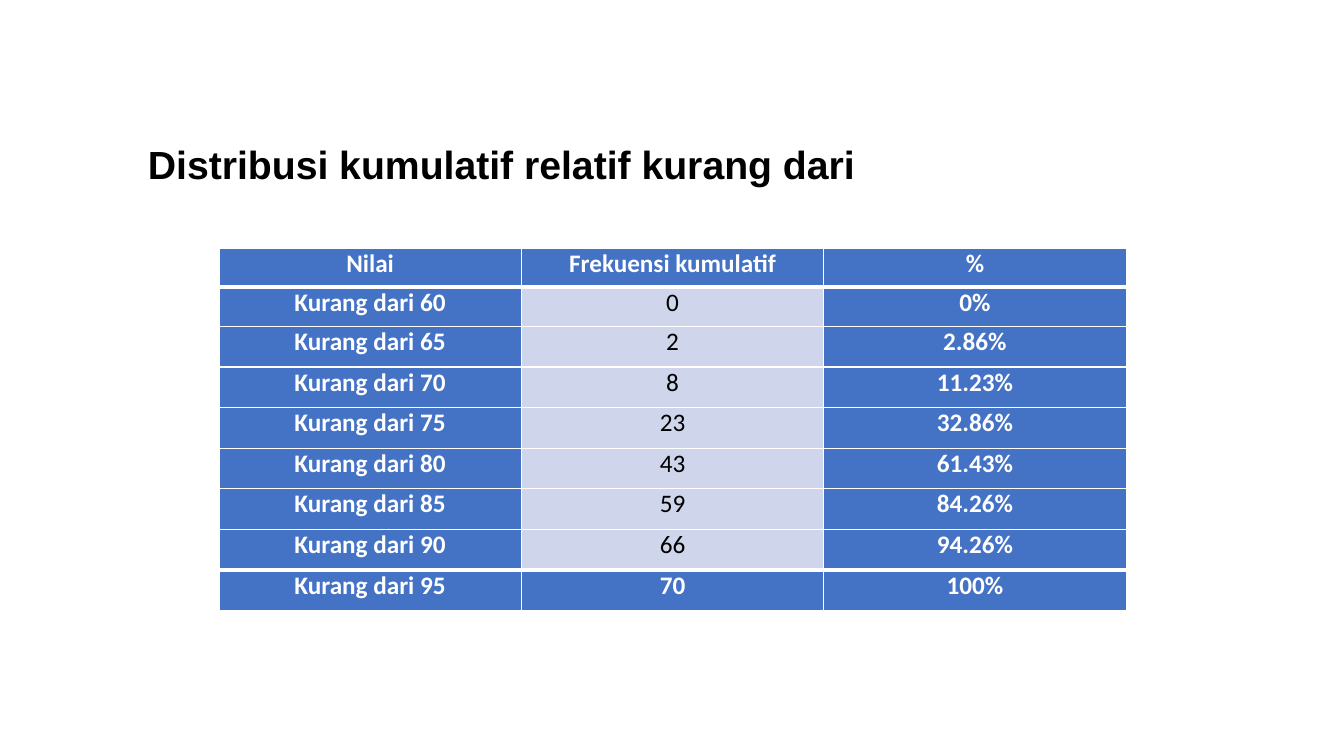
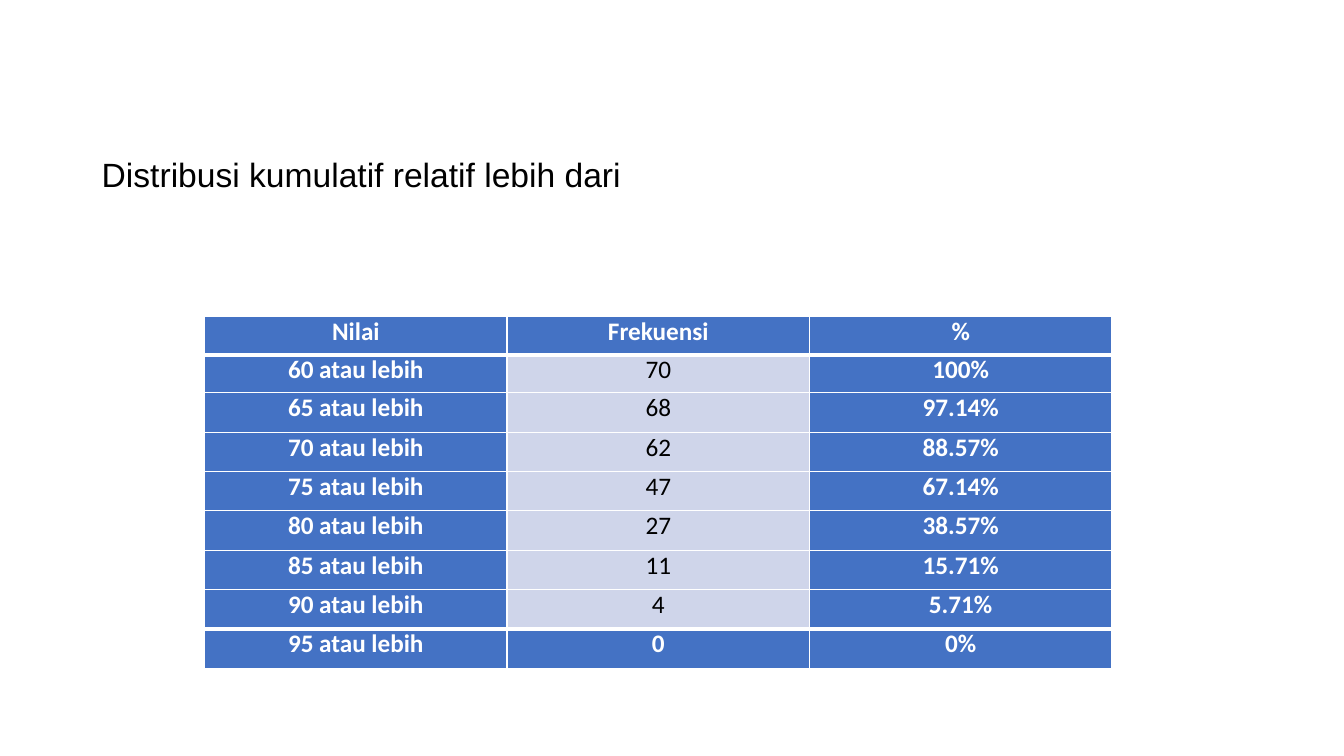
import pptx
import pptx.util
import pptx.oxml
import pptx.oxml.ns
import pptx.dml.color
import pptx.enum.text

Pt = pptx.util.Pt
Color = pptx.dml.color.RGBColor
Align = pptx.enum.text.PP_ALIGN
Anchor = pptx.enum.text.MSO_ANCHOR

BLUE = Color(0x44, 0x72, 0xC4)
PALE = Color(0xCF, 0xD5, 0xEA)
WHITE = Color(0xFF, 0xFF, 0xFF)
BLACK = Color(0, 0, 0)

# Shared formats
HEAD = {"name": "Arial"}
BODY = {"name": "Calibri", "size": Pt(18)}
FLAT = {"margin_left": 0, "margin_right": 0, "margin_top": 0, "margin_bottom": 0}
COL = 216
THIN, THICK = 1, 3


def apply(item, style):
    for key, value in style.items():
        setattr(item, key, value)


class Deck:
    def __init__(self):
        self.prs = pptx.Presentation()
        apply(self.prs, {"slide_width": Pt(960), "slide_height": Pt(540)})
        self.slide = None

    def page(self):
        self.slide = self.prs.slides.add_slide(self.prs.slide_layouts[6])

    def title(self, text, spot, font, frame):
        box = self.slide.shapes.add_textbox(*map(Pt, spot)).text_frame
        apply(box, {"word_wrap": True, "vertical_anchor": Anchor.MIDDLE, **frame})
        run = box.paragraphs[0].add_run()
        run.text = text
        apply(run.font, {**HEAD, **font})
        run.font.color.rgb = BLACK

    def border(self, cell, top, base):
        props = cell._tc.get_or_add_tcPr()
        sides = {"lnL": THIN, "lnR": THIN, "lnT": top, "lnB": base}
        for spot, (side, width) in enumerate(sides.items()):
            props.insert(spot, pptx.oxml.parse_xml(
                f'<a:{side} {pptx.oxml.ns.nsdecls("a")} w="{Pt(width)}"><a:solidFill>'
                f'<a:srgbClr val="{WHITE}"/></a:solidFill></a:{side}>'))

    def cell(self, cell, text, strong):
        apply(cell, FLAT)
        cell.fill.solid()
        cell.fill.fore_color.rgb = BLUE if strong else PALE
        para = cell.text_frame.paragraphs[0]
        para.alignment = Align.CENTER
        run = para.add_run()
        run.text = text
        apply(run.font, {**BODY, "bold": strong})
        run.font.color.rgb = WHITE if strong else BLACK

    def table(self, rows, left, top, first, rest):
        # The first two rows are slightly lower than the rest
        highs = [first] * 2 + [rest] * (len(rows) - 2)
        wide = len(rows[0])
        grid = self.slide.shapes.add_table(
            len(rows), wide, Pt(left), Pt(top), Pt(COL * wide), Pt(sum(highs))).table
        apply(grid, {"first_row": False, "horz_banding": False})
        for col in grid.columns:
            col.width = Pt(COL)
        last = len(rows) - 1
        for r, row in enumerate(rows):
            grid.rows[r].height = Pt(highs[r])
            for c, text in enumerate(row):
                cell = grid.cell(r, c)
                self.cell(cell, text, r in (0, last) or c != 1)
                self.border(cell, THICK if r in (1, last) else THIN,
                            THICK if r in (0, last - 1) else THIN)


def main():
    deck = Deck()
    marks = range(60, 100, 5)

    # Less-than distribution
    deck.page()
    counts = ["0", "2", "8", "23", "43", "59", "66", "70"]
    shares = ["0%", "2.86%", "11.23%", "32.86%", "61.43%", "84.26%", "94.26%", "100%"]
    names = [f"Kurang dari {mark}" for mark in marks]
    deck.table([("Nilai", "Frekuensi kumulatif", "%"), *zip(names, counts, shares)],
               156.4, 177.2, 28, 29)
    deck.title("Distribusi kumulatif relatif kurang dari", (98.6, 95.8, 1017.4, 58.3),
               {"size": Pt(28), "bold": True}, {"margin_bottom": Pt(19.7)})

    # More-than distribution
    deck.page()
    counts = ["70", "68", "62", "47", "27", "11", "4", "0"]
    shares = ["100%", "97.14%", "88.57%", "67.14%", "38.57%", "15.71%", "5.71%", "0%"]
    names = [f"{mark} atau lebih" for mark in marks]
    deck.table([("Nilai", "Frekuensi", "%"), *zip(names, counts, shares)],
               146.2, 226.2, 27.2, 28.1)
    deck.title("Distribusi kumulatif relatif lebih dari", (67.7, 61.9, 1048.3, 133.2),
               {"size": Pt(24), "bold": False},
               {"margin_left": Pt(5), "margin_right": 0,
                "margin_top": Pt(46), "margin_bottom": Pt(55)})

    deck.prs.save("out.pptx")


if __name__ == "__main__":
    main()
